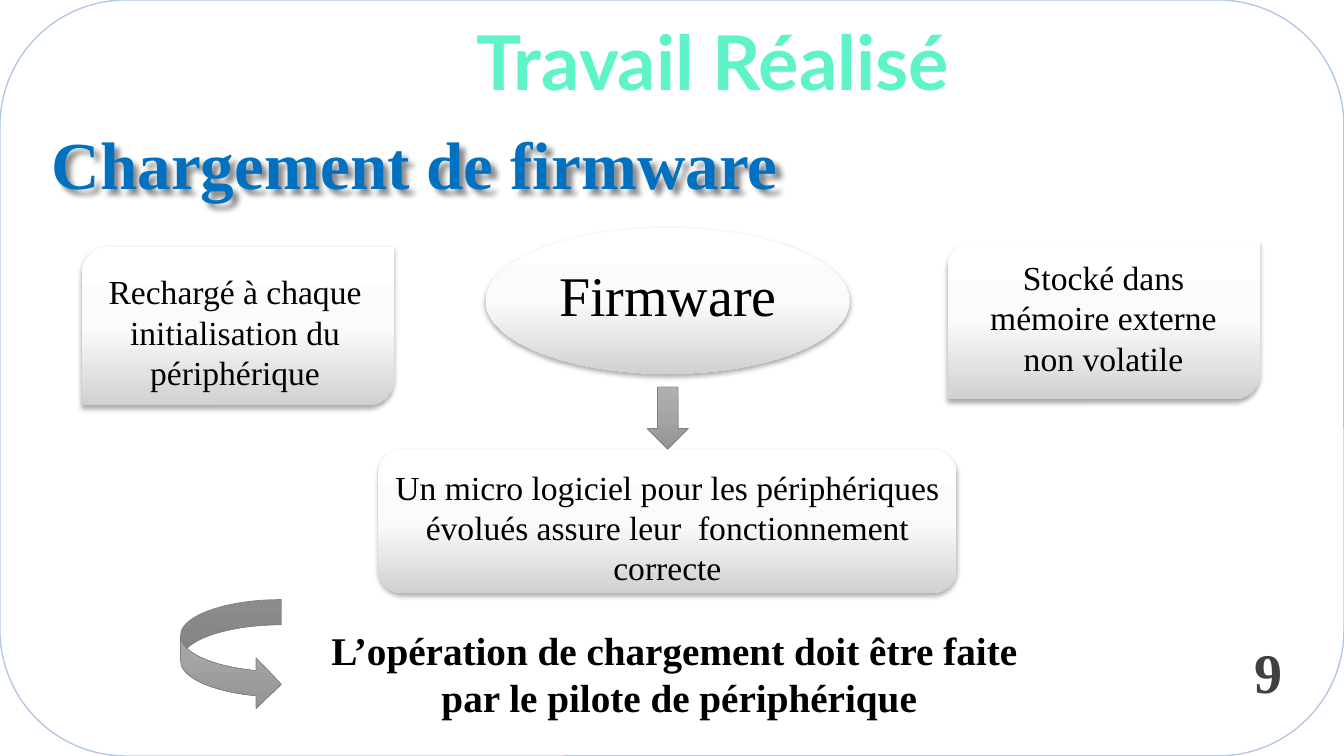
"""Build the slide on firmware loading."""
from copy import deepcopy
from dataclasses import dataclass

from lxml import etree
from pptx import Presentation
from pptx.dml.color import RGBColor
from pptx.enum import shapes, text
from pptx.oxml.ns import qn
from pptx.util import Cm, Pt

SLIDE_SIZE = (33.87, 19.05)
TITLE = ("Travail Réalisé", (4.04, 0.25, 27.84, 2.57))
SUBTITLE = ("Chargement de firmware", (0.15, 2.9, 20.62, 2.41))
CARDS = [
    ("OVAL", (12.24, 5.74, 9.17, 3.68)),
    ("ROUNDED_RECTANGLE", (9.53, 11.33, 14.58, 3.61)),
    ("ROUND_2_DIAG_RECTANGLE", (23.88, 6.07, 7.87, 3.99)),
    ("ROUND_2_DIAG_RECTANGLE", (2.06, 6.22, 7.87, 3.99)),
]
ARROWS = [
    ("CURVED_RIGHT_ARROW", (4.55, 15.11, 2.54, 2.77)),
    ("DOWN_ARROW", (16.31, 9.75, 1.04, 1.57)),
]
LABELS = [
    ("Firmware", (12.88, 6.45, 7.9, 1.96), "heading"),
    ("Un micro logiciel pour les périphériques évolués assure leur  fonctionnement correcte",
     (9.53, 11.63, 14.58, 3.33), "body"),
    ("Stocké dans mémoire externe non volatile", (24.05, 6.35, 7.52, 3.33), "body"),
    ("Rechargé à chaque initialisation du périphérique", (1.63, 6.71, 8.59, 3.33), "body"),
    ("L’opération de chargement doit être faite\n par le pilote de périphérique",
     (7.85, 15.65, 18.29, 2.64), "conclusion"),
    ("9", (31.37, 15.95, 1.04, 1.96), "number"),
]


@dataclass(frozen=True)
class Style:
    size: int
    color: str
    bold: bool = False
    font: str = "Times New Roman"
    align: text.PP_ALIGN = text.PP_ALIGN.CENTER


@dataclass(frozen=True)
class Shadow:
    opacity: int
    blur: float
    distance: float
    angle: int


class Theme:
    styles = {
        "title": Style(54, "5FF3CA", True, "Lato"),
        "subtitle": Style(48, "0070C0", True),
        "heading": Style(40, "000000"),
        "body": Style(24, "000000"),
        "conclusion": Style(28, "000000", True),
        "number": Style(40, "404040", True, align=text.PP_ALIGN.LEFT),
    }
    card = ("FFFFFF", "FBFBFB", "D1D1D1")
    arrow = ("AFAFAF", "A5A5A5", "939393")
    arrow_line = ("808080", 0.5)
    frame_line = ("B4C7E7", 1)
    card_shadow = Shadow(32, 3.5, 2.2, 90)
    subtitle_shadow = Shadow(45, 4, 4, 45)


def place(shape, box):
    shape.left, shape.top, shape.width, shape.height = map(Cm, box)


def write(shape, content, style_name):
    style = Theme.styles[style_name]
    frame = shape.text_frame
    frame.text = content
    frame.word_wrap = True
    frame.auto_size = text.MSO_AUTO_SIZE.SHAPE_TO_FIT_TEXT
    frame.vertical_anchor = text.MSO_ANCHOR.TOP
    for paragraph in frame.paragraphs:
        paragraph.alignment = style.align
        for run in paragraph.runs:
            run.font.name = style.font
            run.font.size = Pt(style.size)
            run.font.bold = style.bold
            run.font.color.rgb = RGBColor.from_string(style.color)


def add_label(slide, content, box, style_name):
    label = slide.shapes.add_textbox(*map(Cm, box))
    write(label, content, style_name)
    return label


def add_plain_shape(slide, kind, box, line=None):
    shape = slide.shapes.add_shape(getattr(shapes.MSO_SHAPE, kind), *map(Cm, box))
    shape.shadow.inherit = False
    shape.fill.background()
    if line:
        color, width = line
        shape.line.color.rgb = RGBColor.from_string(color)
        shape.line.width = Pt(width)
    else:
        shape.line.fill.background()
    return shape


def fill_gradient(shape, colors):
    shape.fill.gradient()
    shape.fill.gradient_angle = 270
    stop_list = shape.fill._fill._gradFill.find(qn("a:gsLst"))
    stop_list.insert(1, deepcopy(stop_list[0]))
    for index, (stop, color) in enumerate(zip(shape.fill.gradient_stops, colors)):
        stop.color.rgb = RGBColor.from_string(color)
        stop.position = index / (len(colors) - 1)


def cast_shadow(shape, shadow):
    shape.shadow.inherit = False
    effects = shape._element.spPr.find(qn("a:effectLst"))
    outer = etree.SubElement(
        effects, qn("a:outerShdw"), blurRad=str(Pt(shadow.blur)),
        dist=str(Pt(shadow.distance)), dir=str(shadow.angle * 60000),
        algn="ctr", rotWithShape="0")
    color = etree.SubElement(outer, qn("a:srgbClr"), val="000000")
    etree.SubElement(color, qn("a:alpha"), val=str(shadow.opacity * 1000))


def main():
    presentation = Presentation()
    presentation.slide_width, presentation.slide_height = map(Cm, SLIDE_SIZE)
    slide = presentation.slides.add_slide(presentation.slide_layouts[5])

    add_plain_shape(slide, "ROUNDED_RECTANGLE", (0, 0, *SLIDE_SIZE), Theme.frame_line)
    title, title_box = TITLE
    place(slide.shapes.title, title_box)
    write(slide.shapes.title, title, "title")

    for kind, box in CARDS:
        card = add_plain_shape(slide, kind, box)
        fill_gradient(card, Theme.card)
        cast_shadow(card, Theme.card_shadow)
    for kind, box in ARROWS:
        fill_gradient(add_plain_shape(slide, kind, box, Theme.arrow_line), Theme.arrow)
    for label in LABELS:
        add_label(slide, *label)

    subtitle = add_label(slide, *SUBTITLE, "subtitle")
    frame = subtitle.text_frame
    frame.margin_left = frame.margin_right = Cm(0.36)
    frame.margin_top = frame.margin_bottom = Cm(0.18)
    cast_shadow(subtitle, Theme.subtitle_shadow)
    presentation.save("out.pptx")


if __name__ == "__main__":
    main()
